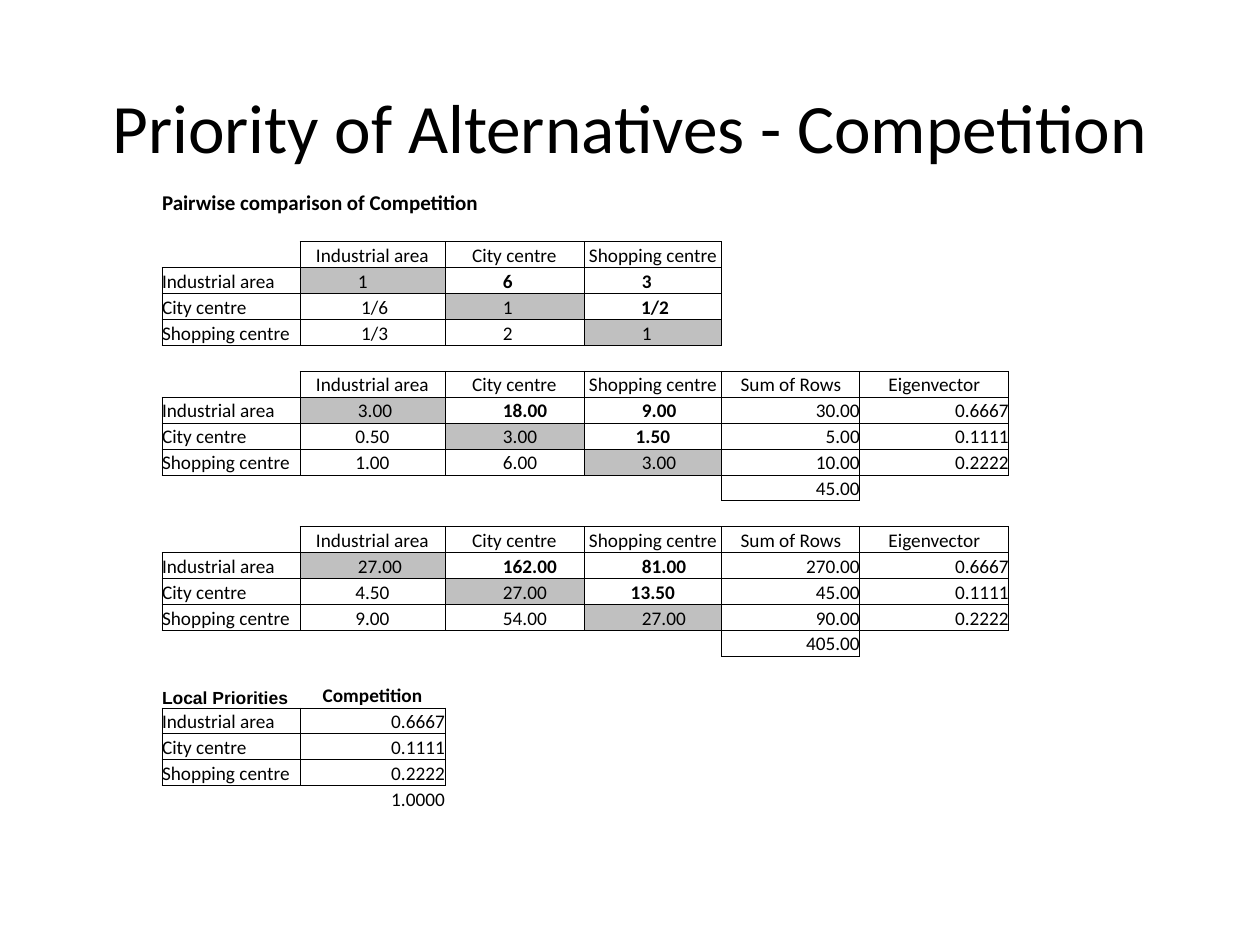
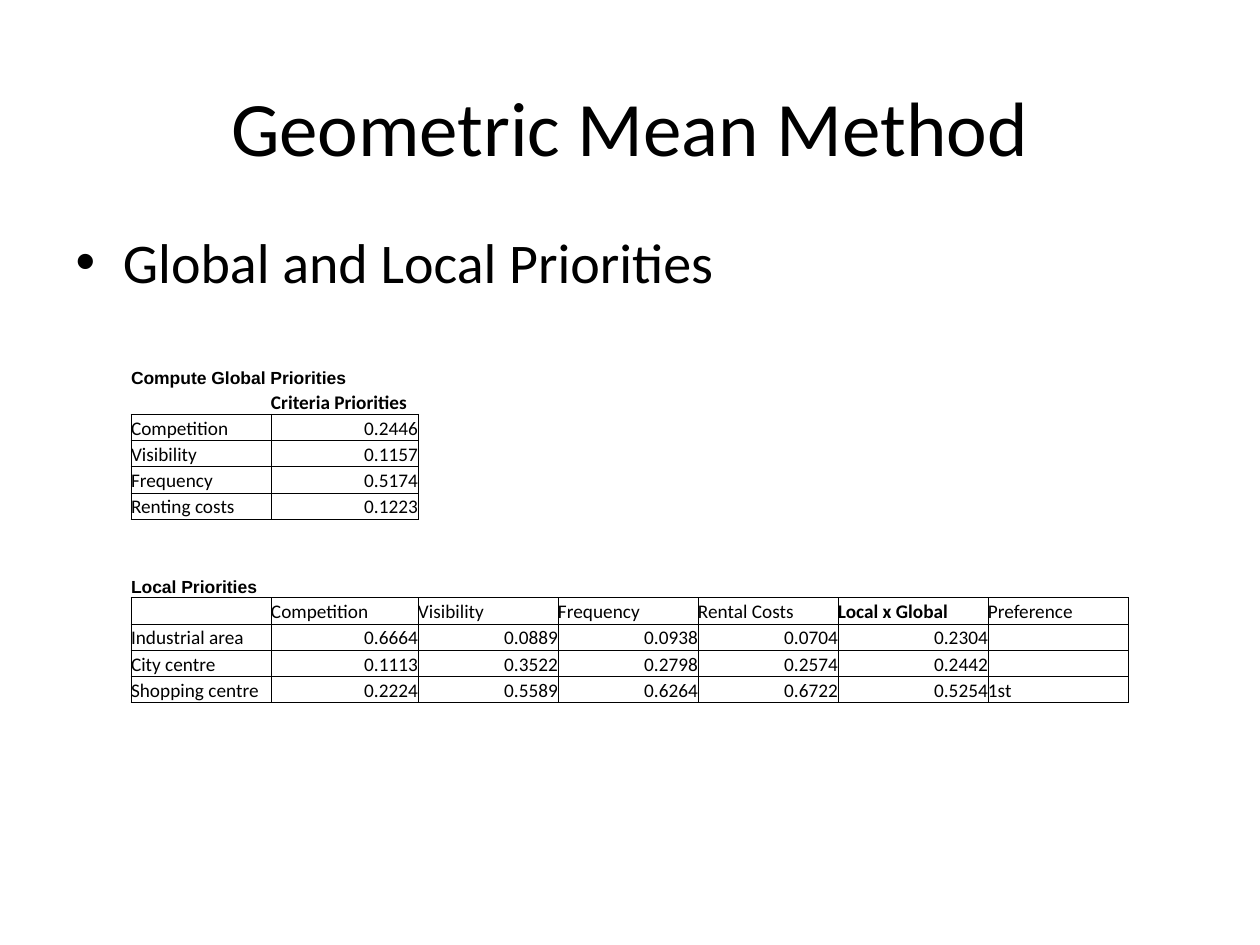
"""Build two slides of priority tables for choosing a shop location."""
from lxml import etree
from pptx import Presentation
from pptx import util as u
from pptx.dml import color
from pptx.enum import text
from pptx.oxml import ns

SCALE = 7257
INK, GREY = "000000", "C0C0C0"
LEFT, MID, RIGHT = text.PP_ALIGN.LEFT, text.PP_ALIGN.CENTER, text.PP_ALIGN.RIGHT
BARE = "{2D5ABB26-0587-4C30-8999-92F81FD0307C}"
SIDES = {"L": (0, -1), "R": (0, 1), "T": (-1, 0), "B": (1, 0)}
AREAS = ["Industrial area", "City centre", "Shopping centre"]
CENTRED = {(1, 0), (2, 0), (1, 2)}


def px(n):
    return u.Emu(n * SCALE)


def rgb(code):
    return color.RGBColor.from_string(code)


class Deck:
    def __init__(self):
        self.prs = Presentation()
        self.prs.slide_width, self.prs.slide_height = u.Inches(10), u.Inches(7.5)

    def font(self, para, size, face="Calibri", bold=False):
        font = para.font
        font.size, font.name, font.bold = u.Pt(size), face, bold
        font.color.rgb = rgb(INK)

    def holder(self, shape, words, size, top, high):
        shape.left, shape.top = px(63), px(top)
        shape.width, shape.height = px(1134), px(high)
        frame = shape.text_frame
        frame.auto_size = text.MSO_AUTO_SIZE.NONE
        para = frame.paragraphs[0]
        para.text = words
        self.font(para, size)
        return frame

    def page(self, title, size, bullet=None):
        layout = self.prs.slide_layouts[1 if bullet else 5]
        self.slide = self.prs.slides.add_slide(layout)
        frame = self.holder(self.slide.shapes.title, title, size, 47, 158)
        frame.vertical_anchor = text.MSO_ANCHOR.MIDDLE
        frame.paragraphs[0].alignment = MID
        if bullet:
            self.holder(self.slide.placeholders[1], bullet, 32, 221, 624)

    def sheet(self, left, top, widths, count, high):
        frame = self.slide.shapes.add_table(
            count, len(widths), px(left), px(top), px(sum(widths)), px(high))
        self.table, self.boxed = frame.table, set()
        self.table.first_row = self.table.horz_banding = False
        self.table._tbl.tblPr.find(ns.qn("a:tableStyleId")).text = BARE
        for column, wide in zip(self.table.columns, widths):
            column.width = px(wide)
        for cell in self.table.iter_cells():
            cell.margin_left = cell.margin_right = 0
            cell.margin_top = cell.margin_bottom = 0
            cell.vertical_anchor = text.MSO_ANCHOR.BOTTOM
            cell.fill.background()
            para = cell.text_frame.paragraphs[0]
            para._p.get_or_add_endParaRPr().set("sz", "1000")

    def put(self, row, col, words, align=LEFT, bold=False, box=True,
            size=11, face="Calibri", span=1, fill=None, inset=0):
        cell = self.table.cell(row, col)
        if span > 1:
            cell.merge(self.table.cell(row, col + span - 1))
        if box:
            self.boxed.add((row, col))
        if fill:
            cell.fill.solid()
            cell.fill.fore_color.rgb = rgb(fill)
        cell.margin_left = px(inset)
        if words:
            para = cell.text_frame.paragraphs[0]
            para.text, para.alignment = words, align
            self.font(para, size, face, bold)

    def head(self, row, words, span=1):
        self.put(row, 0, words, bold=True, box=False, size=10, face="Arial", span=span)

    def line(self, row, words, align=RIGHT):
        for col, word in enumerate(words):
            self.put(row, col, word, align if col else LEFT)

    def matrix(self, top, rows, total=None):
        heads = AREAS + (["Sum of Rows", "Eigenvector"] if total else [])
        for col, word in enumerate(heads, 1):
            self.put(top, col, word, MID)
        for i, (area, row) in enumerate(zip(AREAS, rows)):
            self.line(top + 1 + i, [area] + row)
            for j, word in enumerate(row[:3]):
                mid = (i, j) in CENTRED
                self.put(top + 1 + i, j + 1, word, MID if mid else LEFT, bold=j > i,
                         fill=GREY if i == j else None, inset=0 if mid else 58)
        if total:
            self.put(top + 4, 4, total, RIGHT)

    def rule(self):
        for r in range(len(self.table.rows)):
            for c in range(len(self.table.columns)):
                props = self.table.cell(r, c)._tc.get_or_add_tcPr()
                for at, (side, (down, over)) in enumerate(SIDES.items()):
                    edge = etree.Element(ns.qn("a:ln" + side), w="6350")
                    if {(r, c), (r + down, c + over)} & self.boxed:
                        solid = etree.SubElement(edge, ns.qn("a:solidFill"))
                        etree.SubElement(solid, ns.qn("a:srgbClr"), val=INK)
                    else:
                        etree.SubElement(edge, ns.qn("a:noFill"))
                    props.insert(at, edge)


def rival(deck):
    deck.page("Priority of Alternatives - Competition", 39.6)
    deck.sheet(162, 188, [138, 145, 139, 138, 138, 149], 24, 622)
    deck.table.rows[0].height = px(28)
    deck.put(0, 0, "Pairwise comparison of Competition", bold=True, box=False,
             size=12, span=3)
    deck.matrix(2, [["1", "6", "3"], [" 1/6", "1", " 1/2"], [" 1/3", "2", "1"]])
    deck.matrix(7, [["3.00", "18.00", "9.00", "30.00", "0.6667"],
                    ["0.50", "3.00", "1.50", "5.00", "0.1111"],
                    ["1.00", "6.00", "3.00", "10.00", "0.2222"]], "45.00")
    deck.matrix(13, [["27.00", "162.00", "81.00", "270.00", "0.6667"],
                     ["4.50", "27.00", "13.50", "45.00", "0.1111"],
                     ["9.00", "54.00", "27.00", "90.00", "0.2222"]], "405.00")
    deck.head(19, "Local Priorities")
    deck.put(19, 1, "Competition", MID, bold=True, box=False)
    for row, pair in enumerate(zip(AREAS, ["0.6667", "0.1111", "0.2222"]), 20):
        deck.line(row, pair)
    deck.put(23, 1, "1.0000", RIGHT, box=False)
    deck.rule()


def mean(deck):
    deck.page("Geometric Mean Method", 44, "Global and Local Priorities")
    deck.sheet(131, 362, [140, 147, 140, 140, 140, 150, 140], 13, 341)
    deck.head(0, "Compute Global Priorities", span=2)
    deck.put(1, 1, "Criteria Priorities", bold=True, box=False)
    shares = [("Competition", "0.2446"), ("Visibility", "0.1157"),
              ("Frequency", "0.5174"), ("Renting costs", "0.1223")]
    for row, pair in enumerate(shares, 2):
        deck.line(row, pair)
    deck.head(8, "Local Priorities")
    deck.line(9, ["", "Competition", "Visibility", "Frequency", "Rental Costs",
                  "Local x Global", "Preference"], LEFT)
    deck.put(9, 5, "Local x Global", bold=True)
    scores = [["0.6664", "0.0889", "0.0938", "0.0704", "0.2304"],
              ["0.1113", "0.3522", "0.2798", "0.2574", "0.2442"],
              ["0.2224", "0.5589", "0.6264", "0.6722", "0.5254"]]
    for row, (area, score) in enumerate(zip(AREAS, scores), 10):
        deck.line(row, [area] + score)
        deck.put(row, 6, "1st" if area == AREAS[-1] else "")
    deck.rule()


def main():
    deck = Deck()
    rival(deck)
    mean(deck)
    deck.prs.save("out.pptx")


if __name__ == "__main__":
    main()
